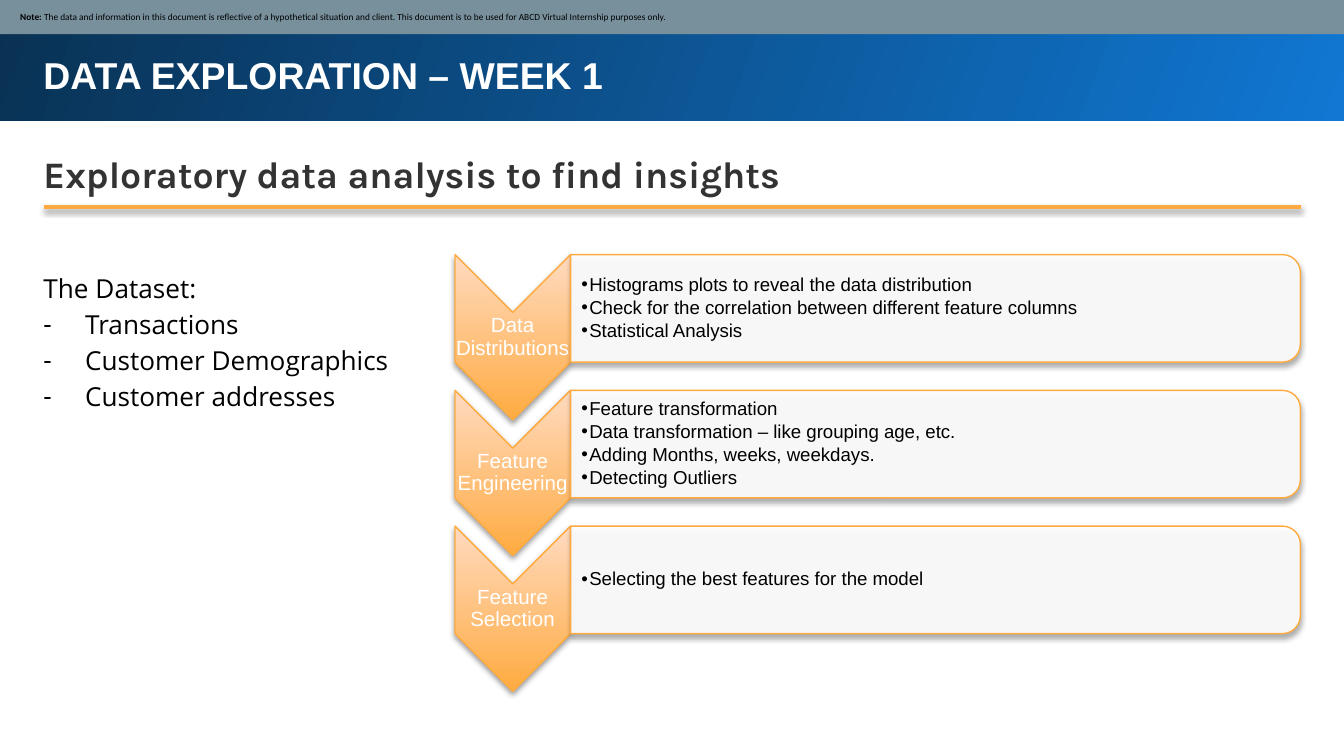
import pptx
import pptx.util
import pptx.dml.color
import pptx.enum.shapes
import pptx.enum.text
import pptx.oxml
import pptx.oxml.ns

RGB = pptx.dml.color.RGBColor
KIND = pptx.enum.shapes.MSO_SHAPE
ALIGN = pptx.enum.text.PP_ALIGN
MID = pptx.enum.text.MSO_ANCHOR.MIDDLE
TOP = pptx.enum.text.MSO_ANCHOR.TOP
Pt = pptx.util.Pt

WHITE = RGB(0xFF, 0xFF, 0xFF)
BLACK = RGB(0, 0, 0)
DARK = RGB(0x33, 0x33, 0x33)
GREY = RGB(0x78, 0x90, 0x9C)
BLUE = RGB(0x10, 0x77, 0xD2)
NAVY = RGB(0x09, 0x31, 0x53)
GOLD = RGB(0xFF, 0xAB, 0x40)
PEACH = RGB(0xFF, 0xDA, 0xC0)

COLS, ROWS = 100, 56.25
CELL = pptx.util.Inches(0.1)

STEPS = [
    ("Data Distributions", [
        "Histograms plots to reveal the data distribution",
        "Check for the correlation between different feature columns",
        "Statistical Analysis"]),
    ("Feature Engineering", [
        "Feature transformation",
        "Data transformation – like grouping age, etc.",
        "Adding Months, weeks, weekdays.",
        "Detecting Outliers"]),
    ("Feature Selection", ["Selecting the best features for the model"]),
]


def grid(*cells):
    return [round(c * CELL) for c in cells]


def node(tag, attrs="", body=""):
    space = pptx.oxml.ns.nsdecls("a")
    return pptx.oxml.parse_xml(f"<a:{tag} {space} {attrs}>{body}</a:{tag}>")


def shade(item, alpha, dist):
    color = f'<a:srgbClr val="000000"><a:alpha val="{alpha * 1000}"/></a:srgbClr>'
    cast = (f'<a:outerShdw blurRad="{Pt(3)}" dist="{Pt(dist)}" dir="5400000" '
            f'rotWithShape="0">{color}</a:outerShdw>')
    props = item.element.spPr
    for old in props.findall(pptx.oxml.ns.qn("a:effectLst")):
        props.remove(old)
    props.append(node("effectLst", body=cast))


def blend(shape, first, last, angle):
    shape.fill.gradient()
    shape.fill.gradient_angle = angle
    for stop, color in zip(shape.fill.gradient_stops, (first, last)):
        stop.color.rgb = color
    shape.element.spPr.find(pptx.oxml.ns.qn("a:gradFill")).set("rotWithShape", "0")


def block(slide, kind, box):
    shape = slide.shapes.add_shape(kind, *grid(*box))
    shape.shadow.inherit = False
    shape.line.fill.background()
    return shape


def turned(slide, kind, box):
    x, y, w, h = box
    shape = block(slide, kind, (x + (w - h) / 2, y + (h - w) / 2, h, w))
    shape.rotation = 90
    shape.line.color.rgb = GOLD
    shape.line.width = Pt(0.75)
    return shape


def setup(frame, pads, anchor=TOP):
    frame.word_wrap = True
    frame.vertical_anchor = anchor
    (frame.margin_left, frame.margin_top,
     frame.margin_right, frame.margin_bottom) = grid(*pads)


def write(frame, lines, font, size, color, bold=False, lead=1.0,
          after=0, align=ALIGN.LEFT, mark=None, hang=0, plain=0):
    for i, runs in enumerate(lines):
        para = frame.paragraphs[0] if i == 0 else frame.add_paragraph()
        para.alignment = align
        para.line_spacing = lead
        para.space_after = Pt(after)
        para.font.size = Pt(size)
        if mark and i >= plain:
            props = para._p.get_or_add_pPr()
            indent, = grid(hang)
            props.set("marL", str(indent))
            props.set("indent", str(-indent))
            rank = props.find(pptx.oxml.ns.qn("a:defRPr"))
            for part in (node("buSzPts", f'val="{size * 100}"'),
                         node("buFont", f'typeface="{font}"'),
                         node("buChar", f'char="{mark}"')):
                rank.addprevious(part)
        for words, heavy in ([(runs, bold)] if isinstance(runs, str) else runs):
            run = para.add_run()
            run.text = words
            run.font.name = font
            run.font.size = Pt(size)
            run.font.bold = heavy
            run.font.color.rgb = color


def label(slide, box, lines, pads=(1, 1, 1, 1), anchor=TOP, **style):
    frame = slide.shapes.add_textbox(*grid(*box)).text_frame
    setup(frame, pads, anchor)
    write(frame, lines, **style)


def header(slide, box):
    x, y, w, h = box
    band = block(slide, KIND.RECTANGLE, box)
    blend(band, BLUE, NAVY, 160)
    label(slide, (x + 2.45, y + 3.1, w - 6.5, 5.4), ["DATA EXPLORATION – WEEK 1"],
          font="Arial", size=20, color=WHITE, bold=True)


def notice(slide, box):
    strip = block(slide, KIND.RECTANGLE, box)
    strip.fill.solid()
    strip.fill.fore_color.rgb = GREY
    setup(strip.text_frame, (1.6, 0.5, 0.5, 0.5), MID)
    runs = [("Note: ", True),
            ("The data and information in this document is reflective of a "
             "hypothetical situation and client. This document is to be used "
             "for ABCD Virtual Internship purposes only.", False)]
    write(strip.text_frame, [runs], font="Calibri", size=5, color=BLACK)


def topic(slide, box):
    x, y, w, h = box
    label(slide, box, ["Exploratory data analysis to find insights"],
          font="Karla", size=20, color=DARK, bold=True, lead=1.15)
    ends = grid(x + 1, y + 5.65, x + w, y + 5.65)
    rule = slide.shapes.add_connector(pptx.enum.shapes.MSO_CONNECTOR.STRAIGHT, *ends)
    rule.line.color.rgb = GOLD
    rule.line.width = Pt(1.75)
    shade(rule, 38, 1.6)


def dataset(slide, box):
    lines = ["The Dataset:", "Transactions", "Customer Demographics",
             "Customer addresses"]
    label(slide, box, lines, font="Open Sans", size=14, color=BLACK,
          lead=1.15, mark="-", hang=3.1, plain=1)


def step(slide, box, name, points):
    x, y, w, h = box
    wide, tall, deep, spill = 8.6, 12.3, 8, 0.2
    arrow = turned(slide, KIND.CHEVRON, (x, y, wide, tall))
    blend(arrow, GOLD, PEACH, 90)
    shade(arrow, 38, 1.6)
    label(slide, (x - spill, y + wide / 2, wide + 2 * spill, tall - wide), [name],
          (0, 0.1, 0, 0.1), MID, font="Arial", size=11, color=WHITE,
          lead=0.9, align=ALIGN.CENTER)

    panel = turned(slide, KIND.ROUND_2_SAME_RECTANGLE, (x + wide, y, w - wide, deep))
    panel.fill.solid()
    panel.fill.fore_color.rgb = WHITE
    tint = panel.element.spPr.find(".//" + pptx.oxml.ns.qn("a:srgbClr"))
    tint.append(node("alpha", 'val="90000"'))
    shade(panel, 35, 1.8)
    label(slide, (x + wide, y + 0.4, w - wide - 0.4, deep - 0.8), points,
          (0.8, 0.1, 0.1, 0.1), MID, font="Arial", size=10, color=BLACK,
          lead=0.9, after=1.5, mark="•", hang=0.6)


def steps(slide, box):
    x, y, w, h = box
    pitch = h / len(STEPS)
    for i, (name, points) in enumerate(STEPS):
        step(slide, (x, y + i * pitch, w, pitch), name, points)


def main():
    deck = pptx.Presentation()
    deck.slide_width, deck.slide_height = grid(COLS, ROWS)
    slide = deck.slides.add_slide(deck.slide_layouts[6])
    header(slide, (-0.2, -0.2, COLS + 0.2, 9.2))
    topic(slide, (2.25, 9.75, 94.55, 5.6))
    notice(slide, (-0.1, -0.05, COLS + 0.1, 2.6))
    steps(slide, (33.85, 18.95, 62.9, 30.3))
    dataset(slide, (2.25, 18.9, 28.4, 12.7))
    deck.save("out.pptx")


if __name__ == "__main__":
    main()
